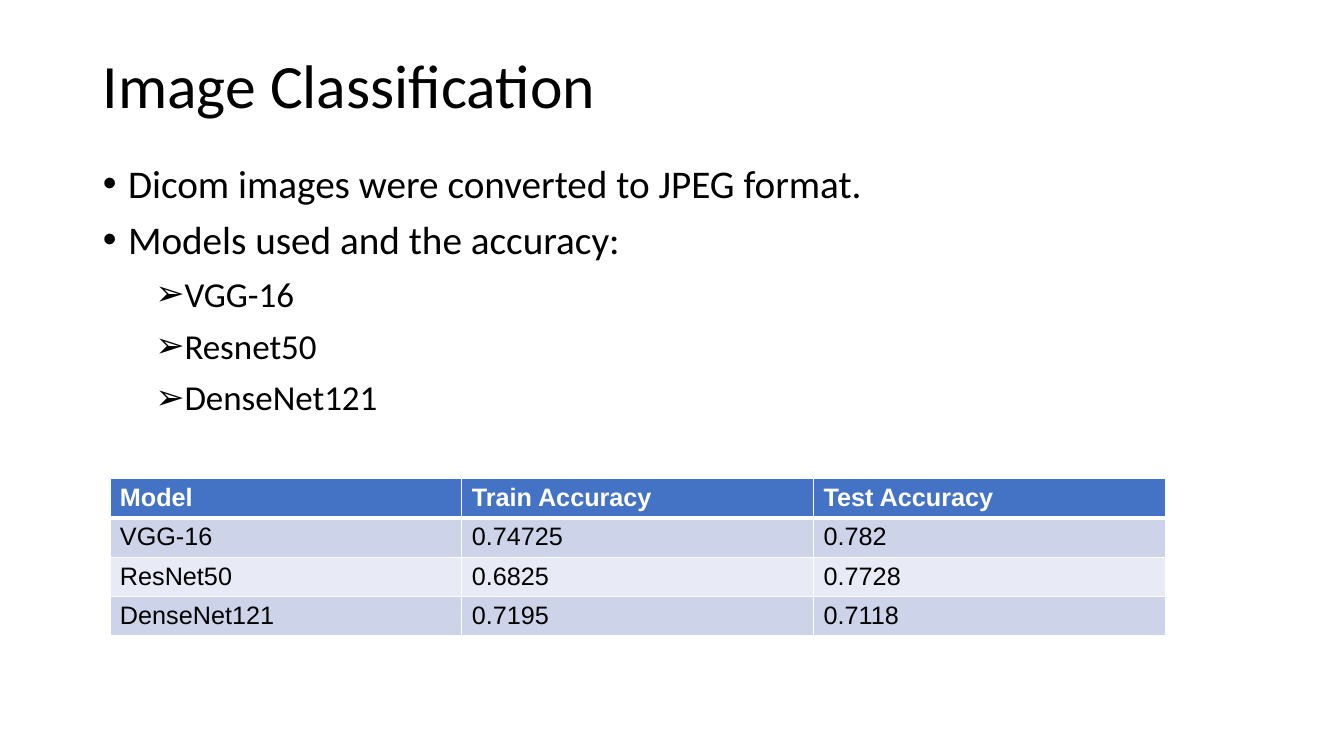
from pptx import Presentation
from pptx.dml.color import RGBColor
from pptx.enum.text import MSO_ANCHOR as ANCHOR, MSO_AUTO_SIZE as AUTO, PP_ALIGN as ALIGN
from pptx.oxml import parse_xml
from pptx.oxml.ns import nsdecls
from pptx.util import Inches, Pt

BLACK, WHITE, HEADER_BLUE = "000000", "FFFFFF", "4472C4"
BANDS = ["CDD4EA", "E8EBF5"]
BULLETS = [
    ("Dicom images were converted to JPEG format.", 0),
    ("Models used and the accuracy:", 0),
    ("VGG-16", 1),
    ("Resnet50", 1),
    ("DenseNet121", 1),
]
# marker, text size, left margin, hanging indent
LEVELS = [("•", 28, 0.25, 0.25), ("➢", 25, 0.75, 0.23)]
ACCURACY = [
    ("Model", "Train Accuracy", "Test Accuracy"),
    ("VGG-16", "0.74725", "0.782"),
    ("ResNet50", "0.6825", "0.7728"),
    ("DenseNet121", "0.7195", "0.7118"),
]


def rgb(color):
    return RGBColor.from_string(color)


def write(p, text, size=18, font="Calibri", color=BLACK, bold=False, spacing=None, before=0):
    p.alignment = ALIGN.LEFT
    p.line_spacing = spacing
    p.space_before = Pt(before)
    r = p.add_run()
    r.text = text
    r.font.size = Pt(size)
    r.font.name = font
    r.font.bold = bold
    r.font.color.rgb = rgb(color)


def place(sp, box, anchor):
    sp.left, sp.top, sp.width, sp.height = map(Inches, box)
    tf = sp.text_frame
    tf.word_wrap = True
    tf.auto_size = AUTO.NONE
    tf.vertical_anchor = anchor
    return tf


def add_bullet(p, marker, margin, hang):
    pPr = p._p.get_or_add_pPr()
    pPr.set("marL", str(Inches(margin)))
    pPr.set("indent", str(-Inches(hang)))
    for xml in (
        f'<a:buClr {nsdecls("a")}><a:srgbClr val="{BLACK}"/></a:buClr>',
        f'<a:buFont {nsdecls("a")} typeface="Arial"/>',
        f'<a:buChar {nsdecls("a")} char="{marker}"/>',
    ):
        pPr.append(parse_xml(xml))


def set_borders(cell, **widths):
    """Draw white borders; widths are points by side L, R, T, B."""
    tcPr = cell._tc.get_or_add_tcPr()
    for side, width in widths.items():
        tcPr.append(parse_xml(
            f'<a:ln{side} {nsdecls("a")} w="{Pt(width)}"><a:solidFill>'
            f'<a:srgbClr val="{WHITE}"/></a:solidFill></a:ln{side}>'))


def add_title(slide, box):
    tf = place(slide.shapes.title, box, ANCHOR.MIDDLE)
    write(tf.paragraphs[0], "Image Classification", size=44, spacing=0.9)


def add_bullets(slide, box):
    tf = place(slide.placeholders[1], box, ANCHOR.TOP)
    for i, (text, level) in enumerate(BULLETS):
        p = tf.add_paragraph() if i else tf.paragraphs[0]
        marker, size, margin, hang = LEVELS[level]
        p.level = level
        write(p, text, size=size, spacing=0.9, before=10)
        add_bullet(p, marker, margin, hang)


def add_accuracy_table(slide, box):
    rows, cols = len(ACCURACY), len(ACCURACY[0])
    table = slide.shapes.add_table(rows, cols, *map(Inches, box)).table
    for i, values in enumerate(ACCURACY):
        header = i == 0
        for j, value in enumerate(values):
            cell = table.cell(i, j)
            set_borders(cell, L=1, R=1, T=3 if i == 1 else 1, B=3 if header else 1)
            cell.fill.solid()
            cell.fill.fore_color.rgb = rgb(HEADER_BLUE if header else BANDS[(i - 1) % 2])
            write(cell.text_frame.paragraphs[0], value, font="Arial",
                  color=WHITE if header else BLACK, bold=header)


def main():
    prs = Presentation()
    prs.slide_width, prs.slide_height = Inches(13.33), Inches(7.5)
    slide = prs.slides.add_slide(prs.slide_layouts[1])
    add_title(slide, (0.92, 0.4, 11.5, 0.95))
    add_bullets(slide, (0.92, 1.58, 11.5, 5.18))
    add_accuracy_table(slide, (1.09, 4.75, 10.47, 1.56))
    prs.save("out.pptx")


if __name__ == "__main__":
    main()
